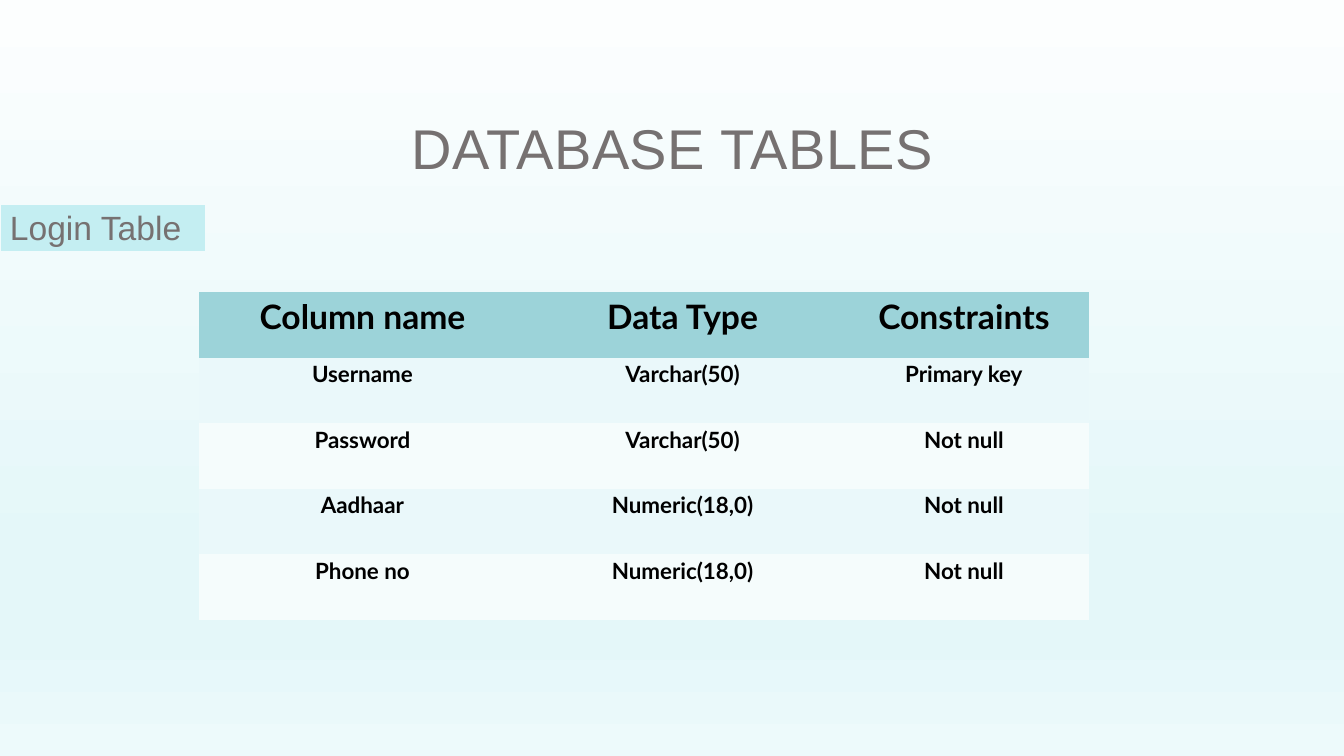
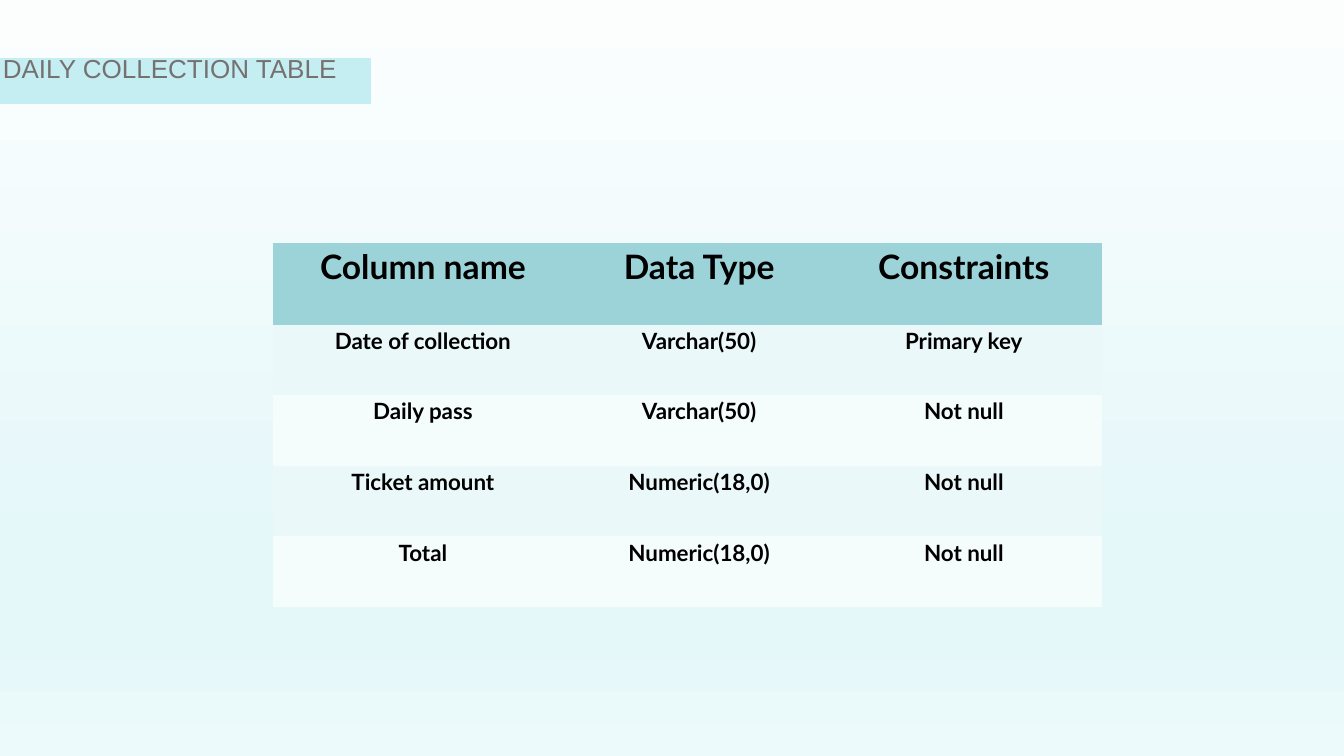
from copy import deepcopy

from pptx import Presentation
from pptx.dml.color import RGBColor
from pptx.enum.shapes import MSO_SHAPE as Shape
from pptx.enum.text import MSO_ANCHOR as Anchor, PP_ALIGN as Align
from pptx.oxml.ns import qn
from pptx.util import Inches, Pt

COLORS = {
    "text": "767171",
    "table_text": "000000",
    "label_bar": "C4EEF2",
    "header_row": "9CD3D9",
    "odd_row": "EAF8FA",
    "even_row": "F5FCFC",
}
BACKGROUND_STOPS = [(0, "FCFEFE"), (0.74, "E4F7F9"), (0.83, "E4F7F9"), (1, "EDFAFB")]
NO_STYLE_NO_GRID = "{2D5ABB26-0587-4C30-8999-92F81FD0307C}"
HEADER = ("Column name", "Data Type", "Constraints")

SLIDES = [
    {
        "title": "DATABASE TABLES",
        "bar": (-0.36, 1.3, 2.76, 1.93),
        "label": "Login Table",
        "label_box": (0, 2.05, 2.12, 0.5),
        "label_format": {"size": 24, "line_spacing": 0.9},
        "table_at": (1.97, 2.9),
        "columns": (3.25, 3.1, 2.48),
        "header_height": 0.65,
        "row_height": 0.65,
        "rows": [
            ("Username", "Varchar(50)", "Primary key"),
            ("Password", "Varchar(50)", "Not null"),
            ("Aadhaar", "Numeric(18,0)", "Not null"),
            ("Phone no", "Numeric(18,0)", "Not null"),
        ],
    },
    {
        "title": None,
        "bar": (-0.66, -0.16, 5, 1.93),
        "label": "DAILY COLLECTION TABLE",
        "label_box": (-0.07, 0.56, 3.9, 0.56),
        "label_format": {"size": 18.6, "line_spacing": 0.7},
        "table_at": (2.71, 2.41),
        "columns": (2.97, 2.51, 2.74),
        "header_height": 0.81,
        "row_height": 0.7,
        "rows": [
            ("Date of collection", "Varchar(50)", "Primary key"),
            ("Daily pass", "Varchar(50)", "Not null"),
            ("Ticket amount", "Numeric(18,0)", "Not null"),
            ("Total", "Numeric(18,0)", "Not null"),
        ],
    },
]


def write_text(text_frame, text, size, font="Arial", color="text", bold=False,
               align=Align.LEFT, line_spacing=0.9):
    text_frame.word_wrap = True
    paragraph = text_frame.paragraphs[0]
    paragraph.alignment = align
    paragraph.line_spacing = line_spacing
    run = paragraph.add_run()
    run.text = text
    run.font.name = font
    run.font.size = Pt(size)
    run.font.bold = bold
    run.font.color.rgb = RGBColor.from_string(COLORS[color])
    return run


presentation = Presentation()
presentation.slide_width = Inches(13.33)
presentation.slide_height = Inches(7.5)

# Shared background: a vertical gradient on the master
master = presentation.slide_master
background_fill = master.background.fill
background_fill.gradient()
background_fill.gradient_angle = 270
stop_list = master.element.find(".//" + qn("a:gsLst"))
while len(stop_list) < len(BACKGROUND_STOPS):
    stop_list.append(deepcopy(stop_list[0]))
for stop, (position, color) in zip(background_fill.gradient_stops, BACKGROUND_STOPS):
    stop.position = position
    stop.color.rgb = RGBColor.from_string(color)

for content in SLIDES:
    slide = presentation.slides.add_slide(presentation.slide_layouts[6])

    # Bar behind the label
    bar = slide.shapes.add_shape(Shape.MATH_MINUS, *map(Inches, content["bar"]))
    bar.shadow.inherit = False
    bar.fill.solid()
    bar.fill.fore_color.rgb = RGBColor.from_string(COLORS["label_bar"])
    bar.line.fill.background()

    # Title
    if content["title"]:
        title = slide.shapes.add_textbox(*map(Inches, (0.92, 0.4, 11.5, 1.45)))
        title.text_frame.vertical_anchor = Anchor.BOTTOM
        run = write_text(title.text_frame, content["title"], size=40, align=Align.CENTER)
        run.font._element.set("spc", "30")

    # Label
    label = slide.shapes.add_textbox(*map(Inches, content["label_box"]))
    write_text(label.text_frame, content["label"], **content["label_format"])

    # Table
    rows = [HEADER] + content["rows"]
    heights = [content["header_height"]] + [content["row_height"]] * len(content["rows"])
    left, top = content["table_at"]
    table = slide.shapes.add_table(
        len(rows), len(HEADER), Inches(left), Inches(top),
        Inches(sum(content["columns"])), Inches(sum(heights))).table
    table._tbl.tblPr.find(qn("a:tableStyleId")).text = NO_STYLE_NO_GRID
    for column, width in zip(table.columns, content["columns"]):
        column.width = Inches(width)
    for row_index, (row, height) in enumerate(zip(rows, heights)):
        table.rows[row_index].height = Inches(height)
        is_header = row_index == 0
        fill = "header_row" if is_header else "odd_row" if row_index % 2 else "even_row"
        for column_index, text in enumerate(row):
            cell = table.cell(row_index, column_index)
            cell.fill.solid()
            cell.fill.fore_color.rgb = RGBColor.from_string(COLORS[fill])
            cell.margin_left = cell.margin_right = Inches(0.08)
            cell.margin_top = Inches(0.01)
            cell.margin_bottom = 0
            write_text(cell.text_frame, text, size=24 if is_header else 16, font="Lato",
                       color="table_text", bold=True, align=Align.CENTER, line_spacing=1.07)

presentation.save("out.pptx")
